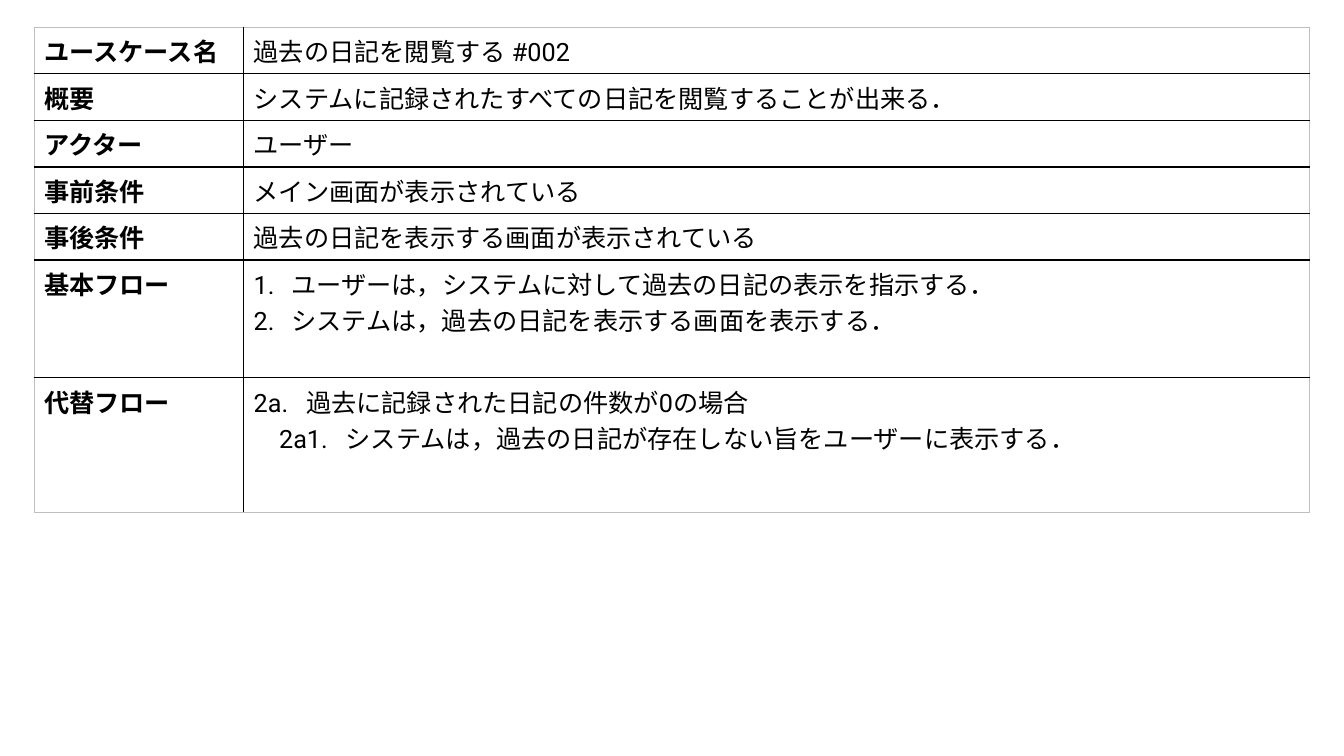
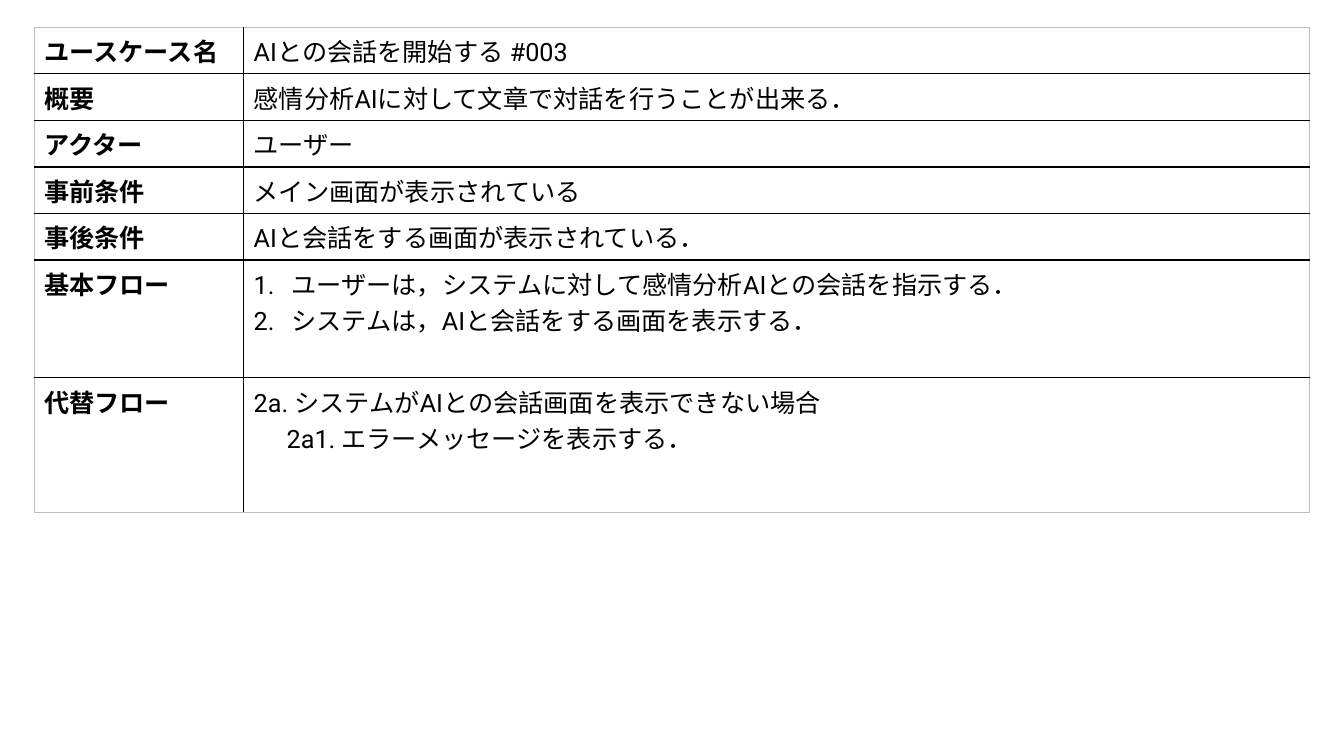
from dataclasses import dataclass

from lxml import etree
from pptx import Presentation, util as u
from pptx.dml.color import RGBColor
from pptx.oxml.ns import qn
from pptx.slide import Slide
from pptx.table import _Cell

INK = RGBColor(0x00, 0x00, 0x00)
EDGE = RGBColor(0xBF, 0xBF, 0xBF)
FACE = "Roboto"
FORMAT = {"size": u.Pt(18), "name": FACE}
PITCH = u.Pt(26.1)
INSETS = {"margin_top": u.Cm(0.1), "margin_bottom": u.Cm(0.15)}

# Table grid, shared by all slides
LEFT, TOP = u.Cm(0.86), u.Cm(0.69)
COLS = [u.Cm(5.28), u.Cm(26.86)]
ROWS = [u.Cm(1.17)] * 5 + [u.Cm(2.97), u.Cm(3.4)]
HEADS = ["ユースケース名", "概要", "アクター", "事前条件", "事後条件",
         "基本フロー", "代替フロー"]


@dataclass
class Line:
    """One paragraph: start of its first line, start of its text, in cm."""
    text: str
    start: float = 0
    hang: float = 0
    auto: bool = False


@dataclass
class Case:
    name: str
    goal: str
    after: str
    steps: list[str]
    other: list[Line]
    actor: str = "ユーザー"
    before: str = "メイン画面が表示されている"

    def rows(self) -> list[list[Line]]:
        plain = [self.name, self.goal, self.actor, self.before, self.after]
        flow = [Line(step, 0, 0.95, True) for step in self.steps]
        return [[Line(item)] for item in plain] + [flow, self.other]


CASES = [
    Case("過去の日記を閲覧する #002",
         "システムに記録されたすべての日記を閲覧することが出来る．",
         "過去の日記を表示する画面が表示されている",
         ["ユーザーは，システムに対して過去の日記の表示を指示する．",
          "システムは，過去の日記を表示する画面を表示する．"],
         [Line("2a.\t過去に記録された日記の件数が0の場合", 0, 1.32),
          Line("2a1.\tシステムは，過去の日記が存在しない旨をユーザーに表示する．",
               0.64, 2.32)]),
    Case("AIとの会話を開始する #003",
         "感情分析AIに対して文章で対話を行うことが出来る．",
         "AIと会話をする画面が表示されている．",
         ["ユーザーは，システムに対して感情分析AIとの会話を指示する．",
          "システムは，AIと会話をする画面を表示する．"],
         [Line("2a. システムがAIとの会話画面を表示できない場合"),
          Line("2a1. エラーメッセージを表示する．", 0.83, 0.83)]),
]


def border(cell: _Cell, side: str, color: RGBColor, width: float) -> None:
    line = etree.SubElement(cell._tc.get_or_add_tcPr(), qn(f"a:ln{side}"),
                            w=str(u.Pt(width)))
    fill = etree.SubElement(line, qn("a:solidFill"))
    etree.SubElement(fill, qn("a:srgbClr"), val=str(color))


def write(cell: _Cell, lines: list[Line], bold: bool) -> None:
    frame = cell.text_frame
    for key, value in INSETS.items():
        setattr(cell, key, value)
    for i, line in enumerate(lines):
        para = frame.add_paragraph() if i else frame.paragraphs[0]
        para.line_spacing = PITCH
        run = para.add_run()
        run.text = line.text
        run.font.color.rgb = INK
        for key, value in {**FORMAT, "bold": bold}.items():
            setattr(run.font, key, value)
        etree.SubElement(run._r.get_or_add_rPr(), qn("a:ea"), typeface=FACE)
        # Indents and numbering
        if line.hang:
            props = para._p.get_or_add_pPr()
            props.set("marL", str(u.Cm(line.hang)))
            props.set("indent", str(u.Cm(line.start) - u.Cm(line.hang)))
            if line.auto:
                etree.SubElement(props, qn("a:buFont"), typeface=FACE)
                etree.SubElement(props, qn("a:buAutoNum"), type="arabicPeriod")


def draw(slide: Slide, case: Case) -> None:
    table = slide.shapes.add_table(len(ROWS), len(COLS), LEFT, TOP,
                                   sum(COLS), sum(ROWS)).table
    table.first_row = table.horz_banding = False
    for col, width in zip(table.columns, COLS):
        col.width = width
    for r, (head, body) in enumerate(zip(HEADS, case.rows())):
        table.rows[r].height = ROWS[r]
        for c, lines in enumerate([[Line(head)], body]):
            cell = table.cell(r, c)
            write(cell, lines, bold=c == 0)
            # Grey outer frame, black inner rules
            outer = {"L": c == 0, "R": c == len(COLS) - 1,
                     "T": r == 0, "B": r == len(ROWS) - 1}
            for side, rim in outer.items():
                border(cell, side, *((EDGE, 0.5) if rim else (INK, 1)))
            cell.fill.background()


def main() -> None:
    deck = Presentation()
    deck.slide_width, deck.slide_height = u.Cm(33.87), u.Cm(19.05)
    for case in CASES:
        draw(deck.slides.add_slide(deck.slide_layouts[6]), case)
    deck.save("out.pptx")


if __name__ == "__main__":
    main()
